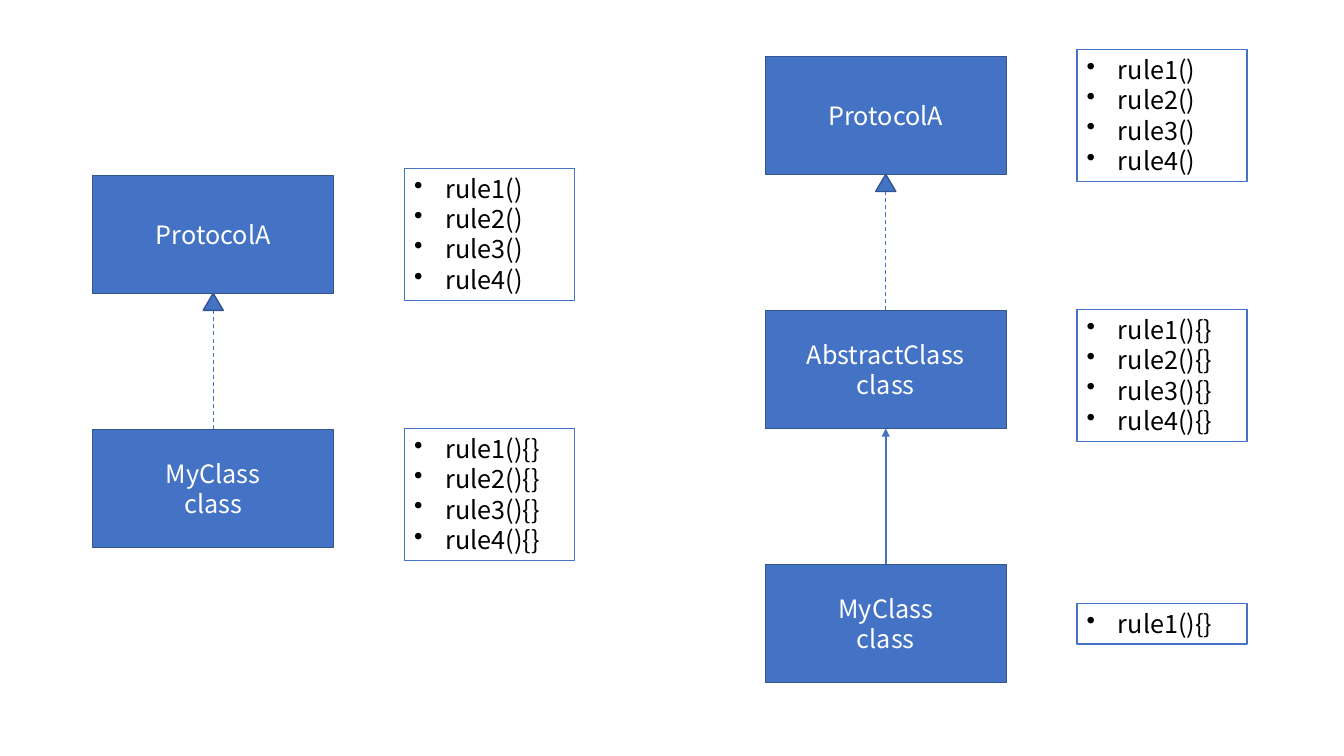
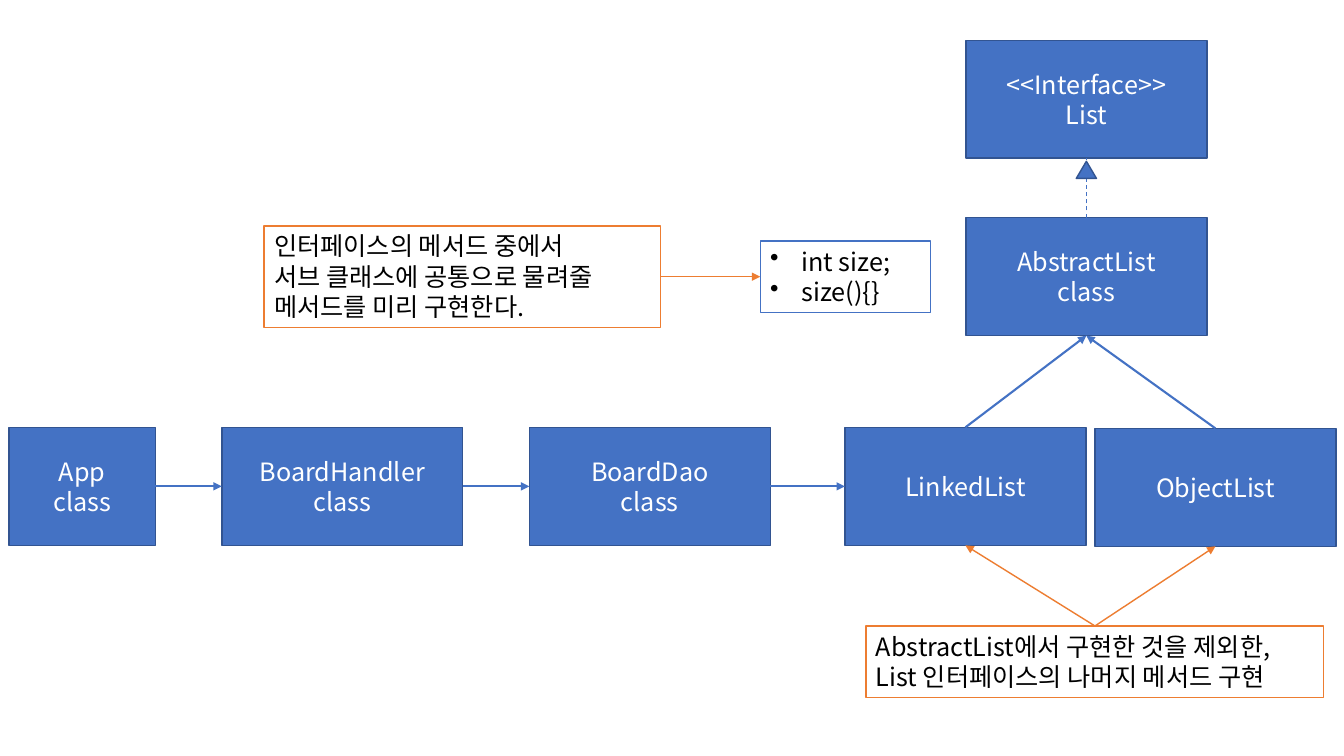
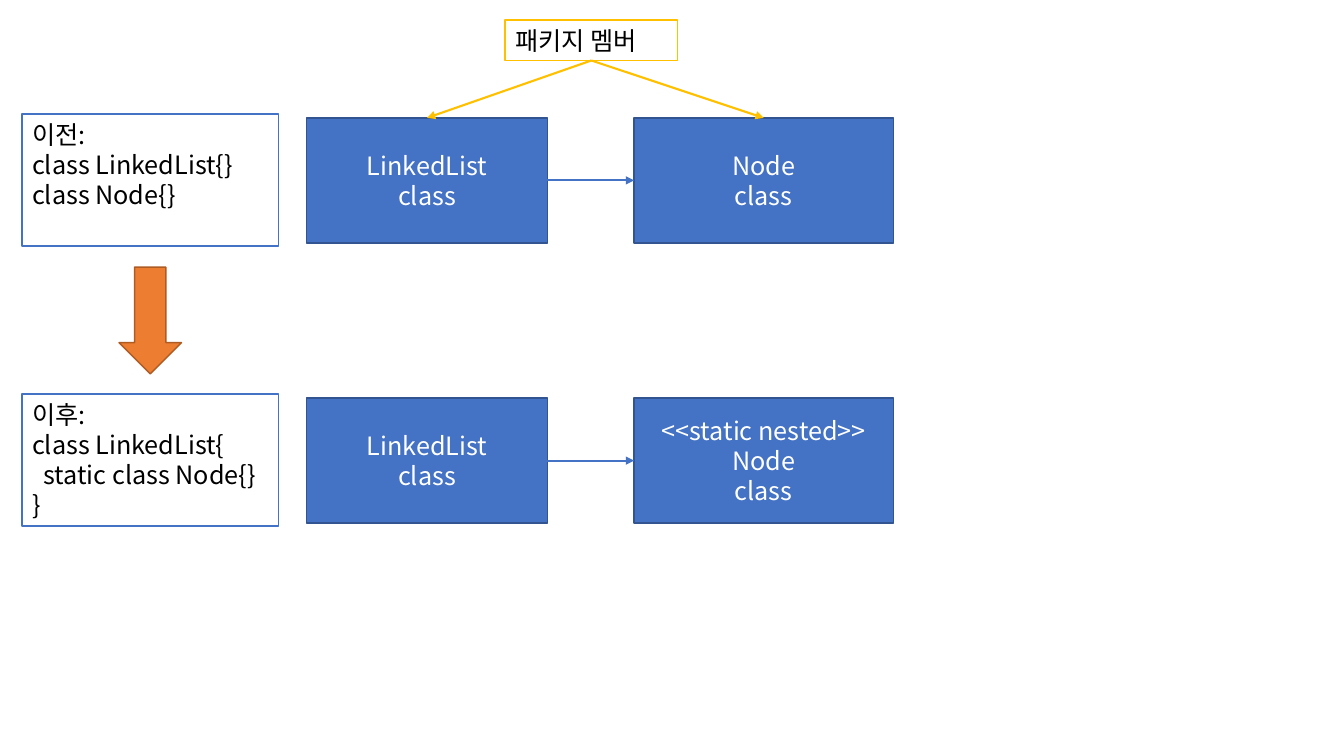
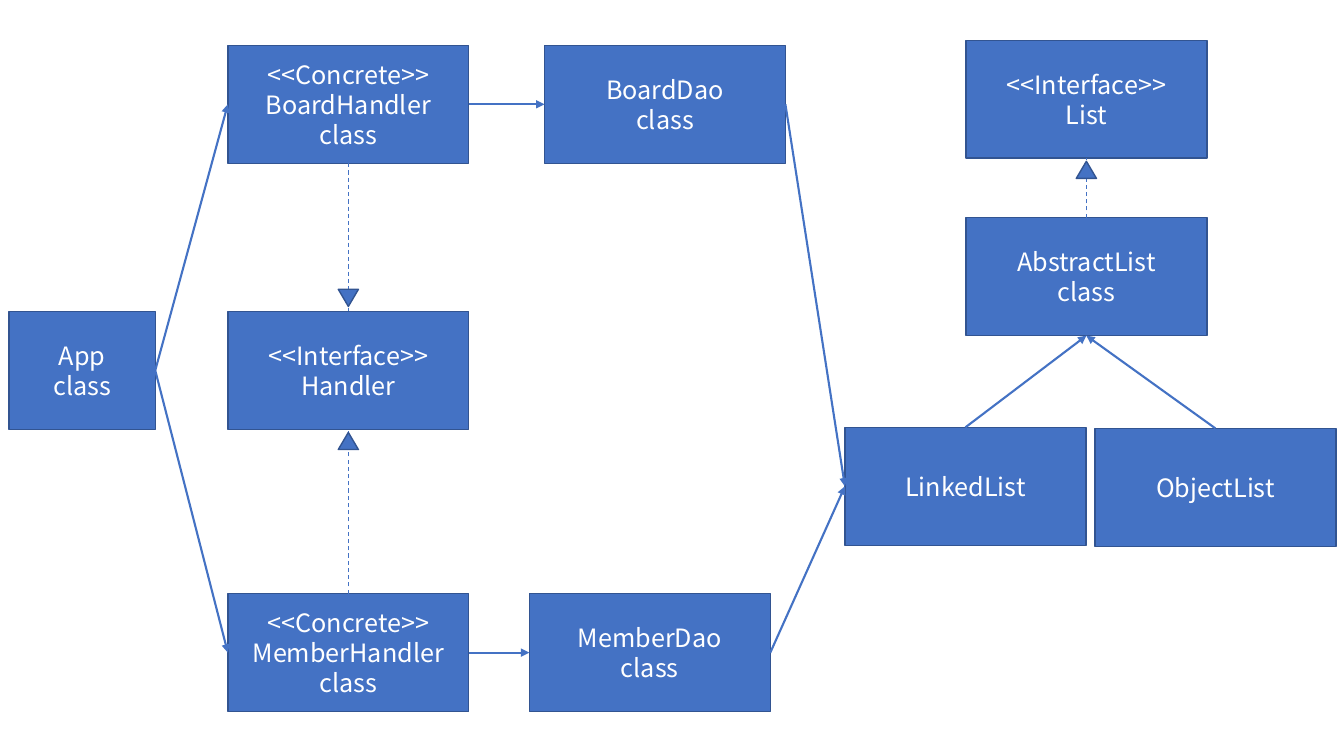
from dataclasses import dataclass

from lxml import etree
from pptx import Presentation
from pptx.dml.color import RGBColor
from pptx.enum.dml import MSO_LINE
from pptx.enum.shapes import MSO_CONNECTOR, MSO_SHAPE
from pptx.enum.text import MSO_ANCHOR, PP_ALIGN
from pptx.oxml.ns import qn
from pptx.shapes.autoshape import Shape
from pptx.slide import Slide
from pptx.util import Emu, Pt

RECT, WEDGE, DOWN = MSO_SHAPE.RECTANGLE, MSO_SHAPE.ISOSCELES_TRIANGLE, MSO_SHAPE.DOWN_ARROW
STRAIGHT, DASH = MSO_CONNECTOR.STRAIGHT, MSO_LINE.DASH
LEFT, CENTER = PP_ALIGN.LEFT, PP_ALIGN.CENTER
TOP, MIDDLE = MSO_ANCHOR.TOP, MSO_ANCHOR.MIDDLE

# Connection sites of a rectangle
NORTH, WEST, SOUTH, EAST = range(4)

FONT, SIZE = "Noto Sans CJK KR", 18
BLUE, NAVY, ORANGE, RUST, GOLD = "4472C4", "325491", "ED7D31", "AF5C24", "FFC000"
WHITE, BLACK = "FFFFFF", "000000"
SCALE = 9144  # EMU in one px, 100 px to the inch
WIDE, HIGH = 239, 117  # usual class box
HANG = 31  # bullet indent
TIP_W, TIP_H = 20, 17  # hollow arrowhead


@dataclass(frozen=True)
class Style:
    fill: str
    edge: str
    ink: str = BLACK
    align: PP_ALIGN = LEFT
    anchor: MSO_ANCHOR = TOP
    dots: bool = False


@dataclass(frozen=True)
class Box:
    text: str
    x: int
    y: int
    w: int = WIDE
    h: int = HIGH


CLASS = Style(BLUE, NAVY, WHITE, CENTER, MIDDLE)
RULES = Style(WHITE, BLUE, dots=True)
CODE = Style(WHITE, BLUE)
NOTE = Style(WHITE, ORANGE)
TAG = Style(WHITE, GOLD)
ARROW = Style(ORANGE, RUST)


def px(n: int) -> Emu:
    return Emu(n * SCALE)


def color(code: str) -> RGBColor:
    return RGBColor.from_string(code)


def paint(shape: Shape, style: Style) -> None:
    shape.shadow.inherit = False
    shape.fill.solid()
    shape.fill.fore_color.rgb = color(style.fill)
    shape.line.color.rgb = color(style.edge)
    shape.line.width = Pt(1)


def write(shape: Shape, text: str, style: Style) -> None:
    frame = shape.text_frame
    frame.word_wrap = True
    frame.vertical_anchor = style.anchor
    for i, line in enumerate(text.split("\n")):
        para = frame.add_paragraph() if i else frame.paragraphs[0]
        para.alignment = style.align
        if style.dots:
            props = para._p.get_or_add_pPr()
            props.set("marL", str(px(HANG)))
            props.set("indent", str(px(-HANG)))
            etree.SubElement(props, qn("a:buChar"), char="•")
        run = para.add_run()
        run.text = line
        run.font.size = Pt(SIZE)
        run.font.color.rgb = color(style.ink)
        run.font.name = FONT
        etree.SubElement(run._r.get_or_add_rPr(), qn("a:ea"), typeface=FONT)


def draw(slide: Slide, box: Box, style: Style = CLASS) -> Shape:
    shape = slide.shapes.add_shape(RECT, px(box.x), px(box.y), px(box.w), px(box.h))
    paint(shape, style)
    write(shape, box.text, style)
    return shape


def link(slide: Slide, start: Shape, out: int, end: Shape, into: int,
         hue: str = BLUE, width: float = 1.5, dash: bool = False) -> None:
    """Join two boxes: a solid line has an arrowhead, a dashed one has none."""
    line = slide.shapes.add_connector(STRAIGHT, 0, 0, 0, 0)
    line.begin_connect(start, out)
    line.end_connect(end, into)
    line.line.color.rgb = color(hue)
    line.line.width = Pt(width)
    if dash:
        line.line.dash_style = DASH
    else:
        etree.SubElement(line.line._get_or_add_ln(), qn("a:tailEnd"), type="triangle")
    etree.SubElement(line._element.spPr, qn("a:effectLst"))


def realize(slide: Slide, sub: Shape, face: Shape, gap: int = 3) -> None:
    """Dashed line from a class to its interface, with a large arrowhead."""
    below = sub.top > face.top
    link(slide, sub, NORTH if below else SOUTH, face, SOUTH if below else NORTH,
         width=0.75, dash=True)
    left = face.left + (face.width - px(TIP_W)) // 2
    top = face.top + face.height + px(gap) if below else face.top - px(gap + TIP_H)
    tip = slide.shapes.add_shape(WEDGE, left, top, px(TIP_W), px(TIP_H))
    tip.rotation = 0 if below else 180
    paint(tip, CLASS)


def rules(tail: str, count: int = 4) -> str:
    return "\n".join(f"rule{n}(){tail}" for n in range(1, count + 1))


def lists(slide: Slide) -> tuple[Shape, Shape]:
    """List family on the right; gives back its two concrete classes."""
    face = draw(slide, Box("<<Interface>>\nList", 958, 40))
    base = draw(slide, Box("AbstractList\nclass", 958, 216))
    array = draw(slide, Box("ObjectList", 1086, 425))
    chain = draw(slide, Box("LinkedList", 838, 424))
    realize(slide, base, face)
    for kid in (array, chain):
        link(slide, kid, NORTH, base, SOUTH)
    return chain, array


def protocol(slide: Slide) -> None:
    # Left: direct; right: through an abstract class
    step, side = 252, 309
    for x, y, name in ((92, 174, "MyClass"), (759, 56, "AbstractClass")):
        face = draw(slide, Box("ProtocolA", x, y))
        sub = draw(slide, Box(f"{name}\nclass", x, y + step))
        realize(slide, sub, face, gap=0)
        draw(slide, Box(rules(""), x + side, y - 7, 169, 131), RULES)
        draw(slide, Box(rules("{}"), x + side, y + step - 1, 169, 131), RULES)
    # Lowest class of the right column
    last = draw(slide, Box("MyClass\nclass", x, y + 2 * step))
    draw(slide, Box(rules("{}", 1), x + side, 599, 169, 40), RULES)
    link(slide, last, NORTH, sub, SOUTH)


def board(slide: Slide) -> None:
    chain, array = lists(slide)
    # Call chain
    row = [draw(slide, Box("App\nclass", 9, 424, 145)),
           draw(slide, Box("BoardHandler\nclass", 220, 424)),
           draw(slide, Box("BoardDao\nclass", 525, 424)),
           chain]
    for here, there in zip(row, row[1:]):
        link(slide, here, EAST, there, WEST)
    # Notes
    size = draw(slide, Box("int size;\nsize(){}", 754, 239, 169, 71), RULES)
    why = draw(slide, Box("인터페이스의 메서드 중에서\n서브 클래스에 공통으로 물려줄\n"
                          "메서드를 미리 구현한다.", 262, 224, 393, 101), NOTE)
    link(slide, why, EAST, size, WEST, ORANGE, 1)
    rest = draw(slide, Box("AbstractList에서 구현한 것을 제외한,\n"
                           "List 인터페이스의 나머지 메서드 구현", 859, 621, 454, 71), NOTE)
    for kid in (chain, array):
        link(slide, rest, NORTH, kid, SOUTH, ORANGE, 1)


def nested(slide: Slide) -> None:
    # Before and after
    pairs = []
    for y, code, node in (
        (117, "이전:\nclass LinkedList{}\nclass Node{}", "Node\nclass"),
        (395, "이후:\nclass LinkedList{\n  static class Node{}\n}",
         "<<static nested>>\nNode\nclass"),
    ):
        draw(slide, Box(code, 22, y - 4, 254, 131), CODE)
        pair = (draw(slide, Box("LinkedList\nclass", 304, y, h=124)),
                draw(slide, Box(node, 629, y, 257, 124)))
        link(slide, pair[0], EAST, pair[1], WEST)
        pairs.append(pair)
    paint(slide.shapes.add_shape(DOWN, px(118), px(265), px(62), px(106)), ARROW)
    # Package members
    tag = draw(slide, Box("패키지 멤버", 501, 20, 171, 40), TAG)
    for kid in pairs[0]:
        link(slide, tag, SOUTH, kid, NORTH, GOLD)


def handler(slide: Slide) -> None:
    chain, _ = lists(slide)
    app = draw(slide, Box("App\nclass", 9, 309, 145))
    face = draw(slide, Box("<<Interface>>\nHandler", 226, 309))
    # One row for each handler and its data access class
    for name, x, y, gap in (("Board", 540, 45, 5), ("Member", 525, 589, 3)):
        work = draw(slide, Box(f"<<Concrete>>\n{name}Handler\nclass", 226, y))
        dao = draw(slide, Box(f"{name}Dao\nclass", x, y))
        link(slide, app, EAST, work, WEST)
        link(slide, work, EAST, dao, WEST)
        link(slide, dao, EAST, chain, WEST)
        realize(slide, work, face, gap)


def main() -> None:
    deck = Presentation()
    deck.slide_width, deck.slide_height = px(1333), px(750)
    blank = deck.slide_layouts[6]
    for build in (protocol, board, nested, handler):
        build(deck.slides.add_slide(blank))
    deck.save("out.pptx")


if __name__ == "__main__":
    main()
